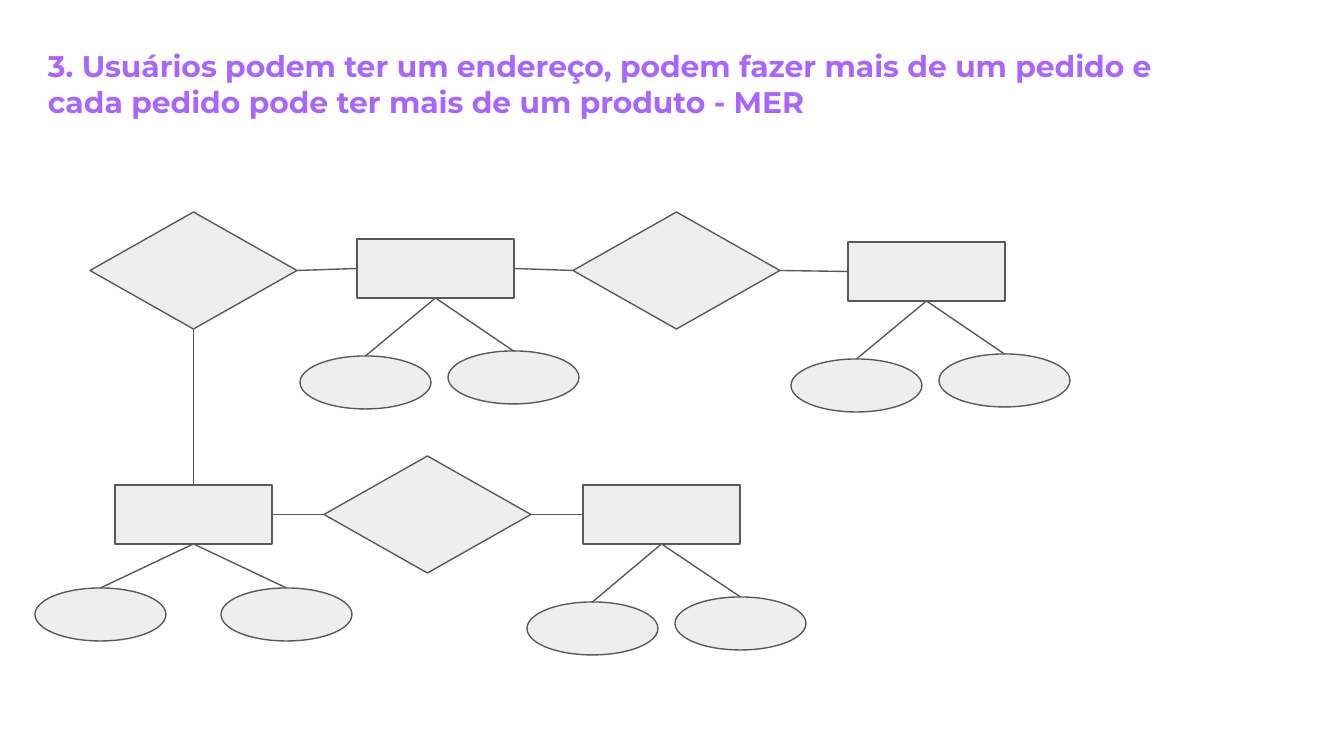
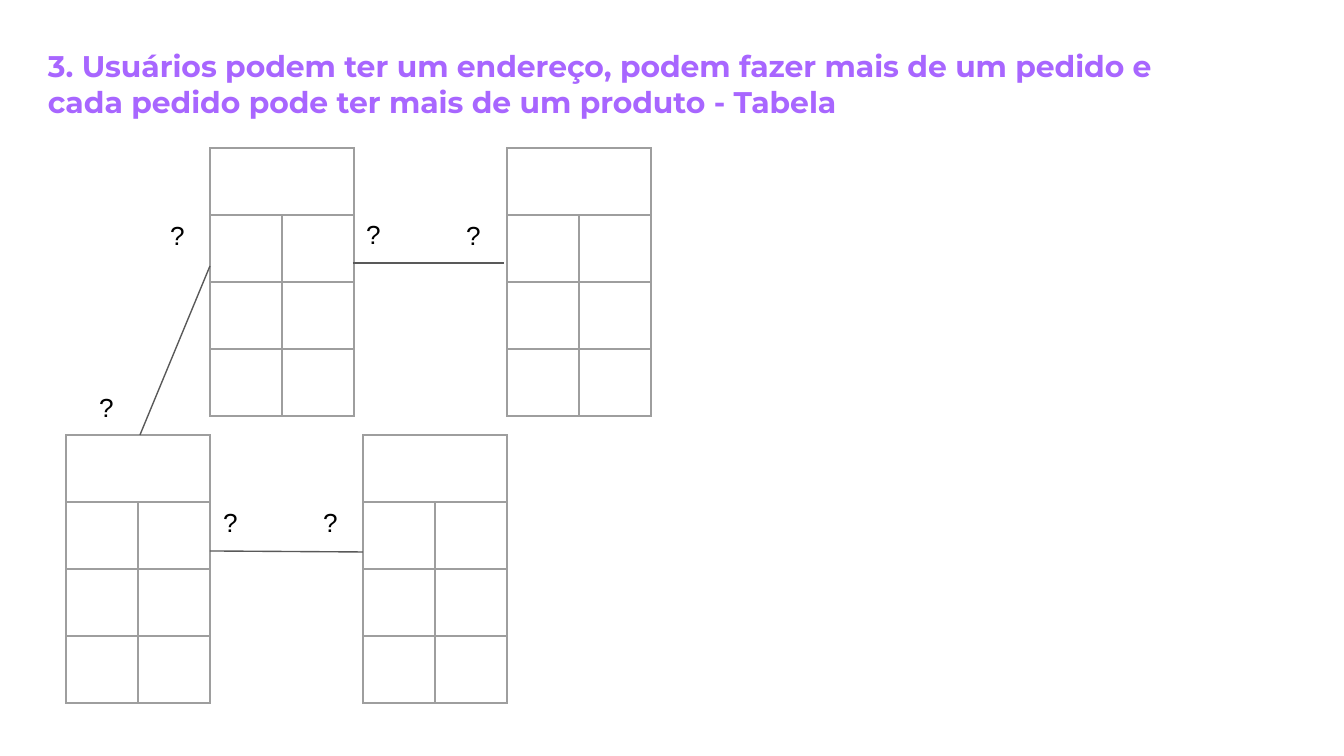
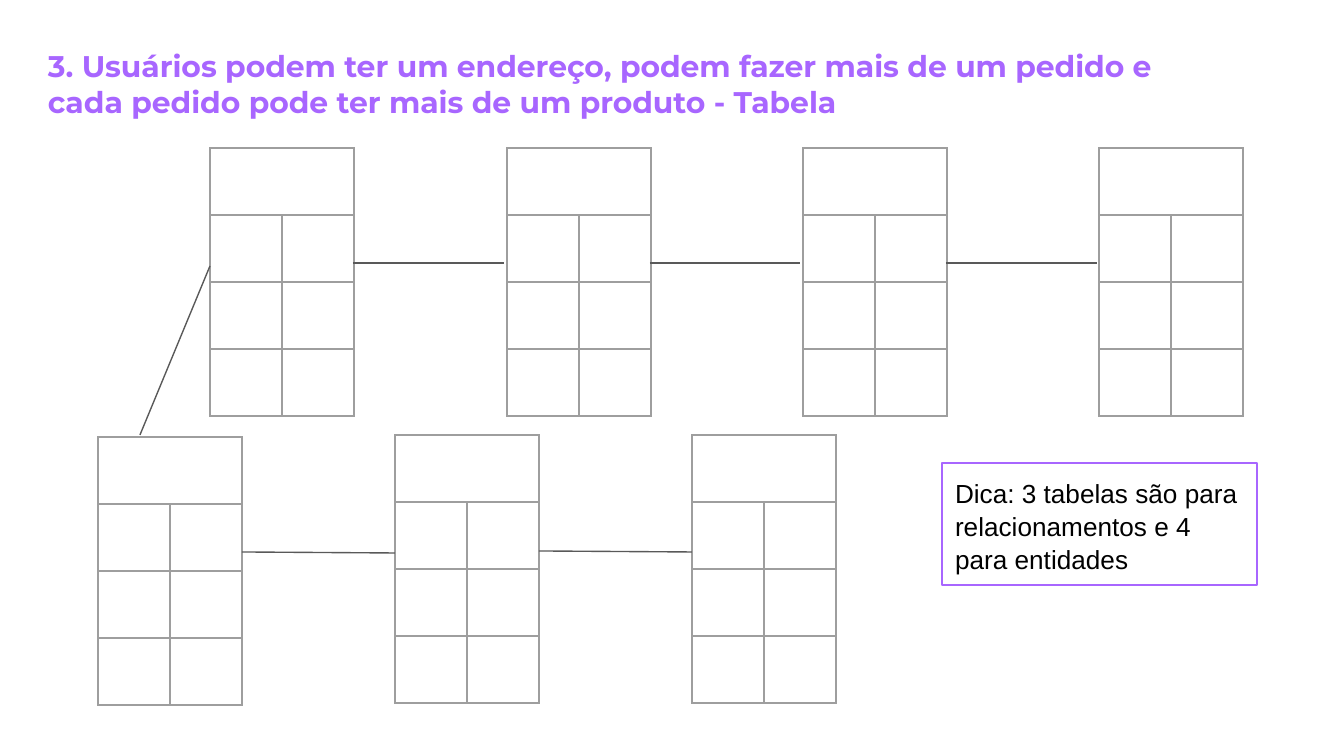
import dataclasses

import lxml.etree
import pptx
import pptx.dml.color
import pptx.enum.shapes
import pptx.enum.text
import pptx.oxml.ns
import pptx.util


@dataclasses.dataclass(frozen=True)
class Theme:
    purple: str = "A866FF"
    ink: str = "000000"
    line: str = "595959"
    node: str = "EEEEEE"
    grid: str = "9E9E9E"
    title_font: str = "Montserrat"
    body_font: str = "Arial"
    title_size: int = 16
    body_size: int = 14
    stroke: float = 0.75


theme = Theme()
PX = 914400 / 134.4
rgb = pptx.dml.color.RGBColor.from_string
qn = pptx.oxml.ns.qn
STROKE = pptx.util.Pt(theme.stroke)
SHAPES = pptx.enum.shapes.MSO_SHAPE


def px(*lengths):
    return [round(length * PX) for length in lengths]


def write(shape, text, font, size, color, bold=False, spacing=1.0):
    frame = shape.text_frame
    frame.word_wrap = True
    frame.auto_size = pptx.enum.text.MSO_AUTO_SIZE.SHAPE_TO_FIT_TEXT
    frame.vertical_anchor = pptx.enum.text.MSO_ANCHOR.TOP
    frame.margin_left, frame.margin_top, frame.margin_right, frame.margin_bottom = px(13, 13, 13, 13)
    frame.text = text
    paragraph = frame.paragraphs[0]
    paragraph.alignment = pptx.enum.text.PP_ALIGN.LEFT
    paragraph.line_spacing = spacing
    run_font = paragraph.runs[0].font
    run_font.name, run_font.size, run_font.bold = font, pptx.util.Pt(size), bold
    run_font.color.rgb = rgb(color)


deck = pptx.Presentation()
deck.slide_width, deck.slide_height = px(1344, 756)

# Slides and their shared title
statement = "3. Usuários podem ter um endereço, podem fazer mais de um pedido e cada pedido pode ter mais de um produto - "
slides = []
for model in ("MER", "Tabela", "Tabela"):
    slide = deck.slides.add_slide(deck.slide_layouts[6])
    title = slide.shapes.add_textbox(*px(35, 35, 1161, 99))
    write(title, statement + model, theme.title_font, theme.title_size, theme.purple, bold=True)
    slides.append(slide)
diagram, exercise, full_exercise = slides

# Entities, relationships and attributes of the diagram
node_sizes = {SHAPES.RECTANGLE: (157, 59), SHAPES.DIAMOND: (207, 117), SHAPES.OVAL: (131, 53)}
node_places = {
    "user": (SHAPES.RECTANGLE, 115, 485),
    "address": (SHAPES.RECTANGLE, 583, 485),
    "order": (SHAPES.RECTANGLE, 357, 239),
    "product": (SHAPES.RECTANGLE, 848, 242),
    "lives at": (SHAPES.DIAMOND, 324, 456),
    "places": (SHAPES.DIAMOND, 90, 212),
    "contains": (SHAPES.DIAMOND, 573, 212),
}
attribute_places = {
    "user": [(35, 588), (221, 588)],
    "address": [(527, 602), (675, 597)],
    "order": [(300, 356), (448, 351)],
    "product": [(791, 359), (939, 354)],
}
# Connection sites of a node
TOP, LEFT, BOTTOM, RIGHT = range(4)
links = [
    ("user", RIGHT, "lives at", LEFT),
    ("lives at", RIGHT, "address", LEFT),
    ("places", BOTTOM, "user", TOP),
    ("places", RIGHT, "order", LEFT),
    ("order", RIGHT, "contains", LEFT),
    ("contains", RIGHT, "product", LEFT),
]
for entity, places in attribute_places.items():
    for number, place in enumerate(places):
        attribute = f"{entity} {number}"
        node_places[attribute] = (SHAPES.OVAL, *place)
        links.append((entity, BOTTOM, attribute, TOP))

nodes = {}
for name, (outline, left, top) in node_places.items():
    node = diagram.shapes.add_shape(outline, *px(left, top, *node_sizes[outline]))
    node.shadow.inherit = False
    node.fill.solid()
    node.fill.fore_color.rgb = rgb(theme.node)
    node.line.color.rgb = rgb(theme.line)
    node.line.width = STROKE
    nodes[name] = node

relations = []
for start, start_site, end, end_site in links:
    relation = diagram.shapes.add_connector(pptx.enum.shapes.MSO_CONNECTOR.STRAIGHT, 0, 0, 0, 0)
    relation.begin_connect(nodes[start], start_site)
    relation.end_connect(nodes[end], end_site)
    relations.append(relation)

# Blank tables to fill in: a merged heading over three rows of two cells
UPPER, LOWER = 148, 435
table_places = [
    (exercise, [(66, LOWER), (363, LOWER), (210, UPPER), (507, UPPER)]),
    (full_exercise, [(98, LOWER + 2), (395, LOWER), (692, LOWER),
                     (210, UPPER), (507, UPPER), (803, UPPER), (1099, UPPER)]),
]
for slide, places in table_places:
    for left, top in places:
        table = slide.shapes.add_table(4, 2, *px(left, top, 144, 268)).table
        table.first_row = table.horz_banding = False
        for column in table.columns:
            column.width = px(72)[0]
        for row in table.rows:
            row.height = px(67)[0]
        table.cell(0, 0).merge(table.cell(0, 1))
        for cell in table.iter_cells():
            properties = cell._tc.get_or_add_tcPr()
            for side in ("a:lnL", "a:lnR", "a:lnT", "a:lnB"):
                border = lxml.etree.SubElement(properties, qn(side), w=str(STROKE))
                paint = lxml.etree.SubElement(border, qn("a:solidFill"))
                lxml.etree.SubElement(paint, qn("a:srgbClr"), val=theme.grid)
            cell.fill.background()

# Lines between the tables
shared_lines = [(140, 435, 210, 266), (353, 263, 504, 263)]
table_lines = [
    (exercise, shared_lines + [(210, 551, 363, 552)]),
    (full_exercise, shared_lines + [(650, 263, 800, 263), (946, 263, 1097, 263),
                                    (242, 552, 395, 553), (539, 551, 692, 552)]),
]
for slide, ends in table_lines:
    for end in ends:
        relations.append(slide.shapes.add_connector(pptx.enum.shapes.MSO_CONNECTOR.STRAIGHT, *px(*end)))

for relation in relations:
    relation.line.color.rgb = rgb(theme.line)
    relation.line.width = STROKE
    lxml.etree.SubElement(relation._element.spPr, qn("a:effectLst"))

# Cardinalities to find
for left, top in [(310, 493), (210, 493), (86, 378), (157, 206), (453, 206), (353, 205)]:
    cardinality = exercise.shapes.add_textbox(*px(left, top, 54, 59))
    write(cardinality, "?", theme.body_font, theme.body_size, theme.ink)

# Hint
hint = full_exercise.shapes.add_shape(SHAPES.RECTANGLE, *px(942, 463, 315, 122))
hint.shadow.inherit = False
hint.fill.background()
hint.line.color.rgb = rgb(theme.purple)
hint.line.width = STROKE
write(hint, "Dica: 3 tabelas são para relacionamentos e 4 para entidades",
      theme.body_font, theme.body_size, theme.ink, spacing=1.05)

deck.save("out.pptx")
